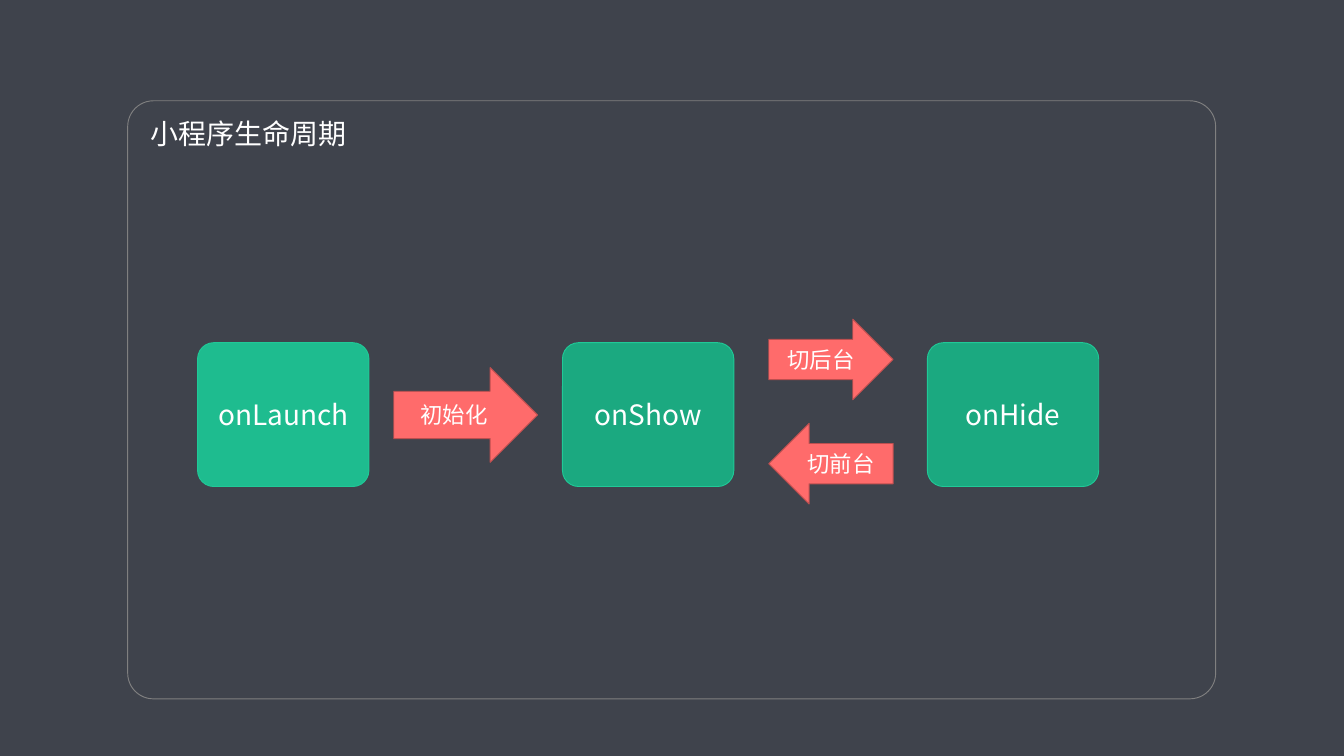
from dataclasses import dataclass

from lxml.etree import SubElement
from pptx import Presentation
from pptx.dml.color import RGBColor
from pptx.enum.shapes import MSO_SHAPE
from pptx.enum.text import MSO_ANCHOR, PP_ALIGN
from pptx.oxml.ns import qn
from pptx.shapes.autoshape import Shape
from pptx.slide import Slide
from pptx.text.text import TextFrame
from pptx.util import Inches, Pt

FONT = "Noto Sans CJK SC"
WHITE = "FFFFFF"
STATE_WIDTH, STATE_HEIGHT = 2.55, 2.14
STATE_LEFT, STATE_TOP, STATE_STEP = 2.94, 5.1, 5.43


@dataclass
class State:
    label: str
    fill: str


@dataclass
class Transition:
    label: str
    kind: MSO_SHAPE
    left: float
    top: float
    width: float
    height: float


STATES = [
    State("onLaunch", "1EBC8F"),
    State("onShow", "1BA980"),
    State("onHide", "1BA980"),
]
TRANSITIONS = [
    Transition("初始化", MSO_SHAPE.RIGHT_ARROW, 5.86, 5.47, 2.14, 1.41),
    Transition("切后台", MSO_SHAPE.RIGHT_ARROW, 11.44, 4.75, 1.85, 1.2),
    Transition("切前台", MSO_SHAPE.LEFT_ARROW, 11.44, 6.3, 1.85, 1.2),
]


def color(value: str) -> RGBColor:
    return RGBColor.from_string(value)


def write(frame: TextFrame, text: str, size: float, align: PP_ALIGN) -> None:
    frame.vertical_anchor = MSO_ANCHOR.MIDDLE
    para = frame.paragraphs[0]
    para.alignment = align
    span = para.add_run()
    span.text = text
    span.font.size = Pt(size)
    span.font.name = FONT
    span.font.color.rgb = color(WHITE)
    SubElement(span.font._element, qn("a:ea")).set("typeface", FONT)


def add_box(page: Slide, kind: MSO_SHAPE, left: float, top: float, width: float,
            height: float, line: str, fill: str | None = None) -> Shape:
    box = page.shapes.add_shape(
        kind, Inches(left), Inches(top), Inches(width), Inches(height))
    box.shadow.inherit = False
    box.line.color.rgb = color(line)
    box.line.width = Pt(1)
    if fill:
        box.fill.solid()
        box.fill.fore_color.rgb = color(fill)
    else:
        box.fill.background()
    return box


def add_panel(page: Slide, title: str) -> None:
    panel = add_box(page, MSO_SHAPE.ROUNDED_RECTANGLE, 1.9, 1.5, 16.19, 8.9, "808080")
    panel.adjustments[0] = 0.043
    heading = page.shapes.add_textbox(
        Inches(2.14), Inches(1.68), Inches(3.15), Inches(0.61))
    frame = heading.text_frame
    frame.word_wrap = False
    frame.margin_top = frame.margin_bottom = 0
    write(frame, title, 30, PP_ALIGN.LEFT)


def add_state(page: Slide, state: State, index: int) -> None:
    box = add_box(page, MSO_SHAPE.ROUNDED_RECTANGLE, STATE_LEFT + index * STATE_STEP,
                  STATE_TOP, STATE_WIDTH, STATE_HEIGHT, "20C997", state.fill)
    box.adjustments[0] = 0.112
    write(box.text_frame, state.label, 30, PP_ALIGN.CENTER)


def add_transition(page: Slide, step: Transition) -> None:
    arrow = add_box(page, step.kind, step.left, step.top, step.width, step.height,
                    "BD4F4F", "FF6B6B")
    write(arrow.text_frame, step.label, 24, PP_ALIGN.CENTER)


def main() -> None:
    deck = Presentation()
    deck.slide_width, deck.slide_height = Inches(20), Inches(11.25)
    page = deck.slides.add_slide(deck.slide_layouts[6])
    page.background.fill.solid()
    page.background.fill.fore_color.rgb = color("3F434C")

    add_panel(page, "小程序生命周期")
    for index, state in enumerate(STATES):
        add_state(page, state, index)
    for step in TRANSITIONS:
        add_transition(page, step)
    deck.save("out.pptx")


if __name__ == "__main__":
    main()
